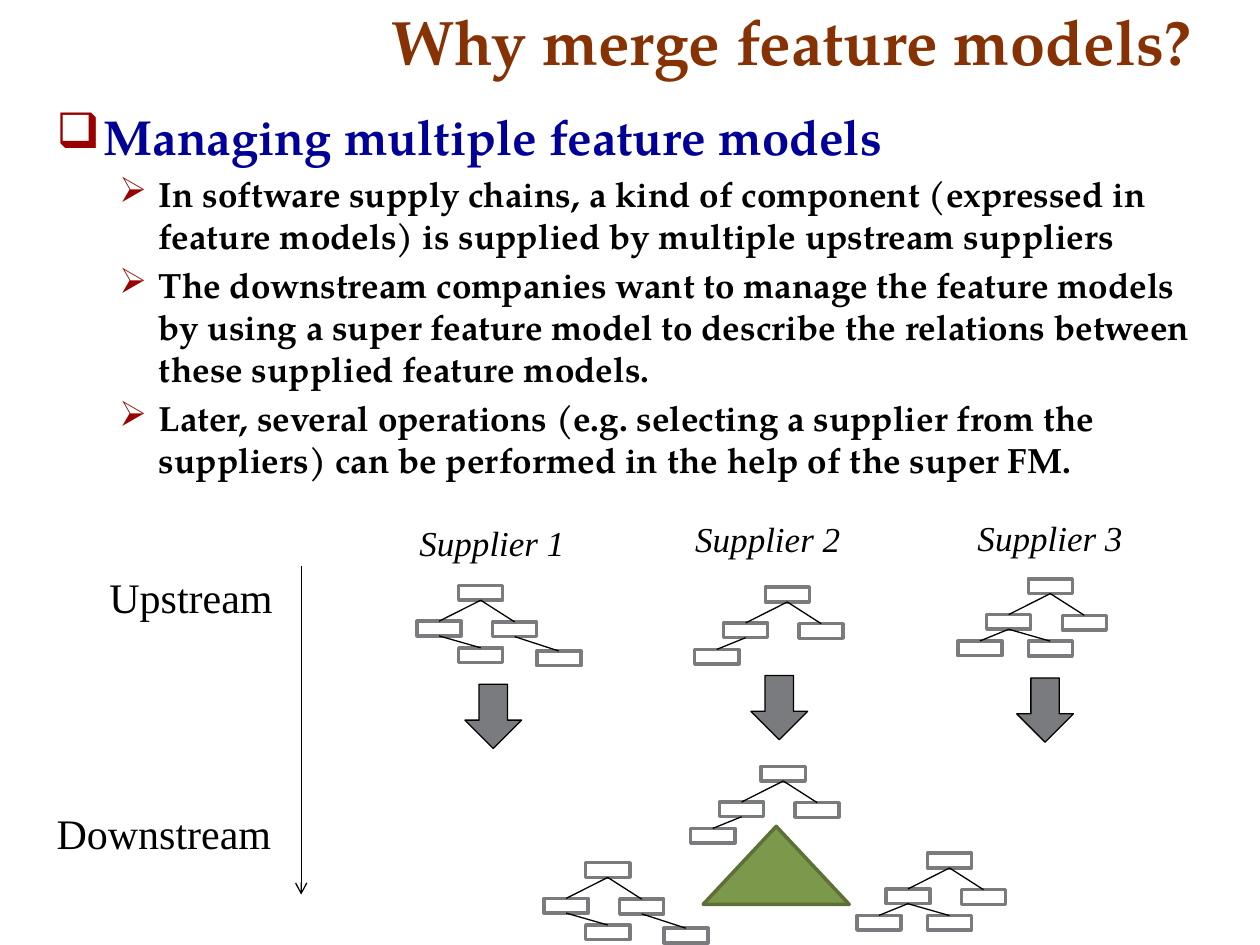
"""Build the slide on why feature models are merged along a supply chain."""
import dataclasses

import pptx
import pptx.dml.color
import pptx.enum.shapes
import pptx.enum.text
import pptx.oxml.ns
import pptx.util
from lxml import etree

Pt = pptx.util.Pt
SHAPE = pptx.enum.shapes.MSO_SHAPE
ANCHOR = pptx.enum.text.MSO_ANCHOR
qn = pptx.oxml.ns.qn


@dataclasses.dataclass(frozen=True)
class Theme:
    serif: str = "TeX Gyre Pagella"
    label: str = "Times New Roman"
    title: str = "863204"
    heading: str = "000099"
    bullet: str = "990000"
    ink: str = "000000"
    paper: str = "FFFFFF"
    grey: str = "797B7E"
    green: str = "7C984A"
    dark_green: str = "5C7037"
    title_size: int = 36
    heading_size: int = 28
    stage_size: int = 24
    text_size: int = 20
    thin: float = 0.75
    thick: float = 2


NODE_SIZE = (25.2, 8.4)
NODE_OFFSETS = {
    "root": (0, 0),
    "left": (-23.8, 20.4),
    "right": (19.4, 20.8),
    "middle leaf": (0, 35.6),
    "left leaf": (-40.3, 35.5),
    "right leaf": (44.6, 37.4),
}
TOP_EDGES = [("root", "left"), ("root", "right")]
FIRST_MODEL = TOP_EDGES + [("right", "right leaf"), ("left", "middle leaf")]
SECOND_MODEL = TOP_EDGES + [("left", "left leaf")]
THIRD_MODEL = TOP_EDGES + [("left", "left leaf"), ("left", "middle leaf")]

SUPPLIERS = [
    ("Supplier 1", (232.6, 294.5), FIRST_MODEL, (262.1, 334.6), (265.7, 391)),
    ("Supplier 2", (390.2, 292.3), SECOND_MODEL, (437.3, 335.6), (429.1, 386)),
    ("Supplier 3", (551.5, 291.6), THIRD_MODEL, (587.6, 330.8), (581, 387.4)),
]
SUPER_MODEL = [
    (FIRST_MODEL, (334.7, 493)),
    (SECOND_MODEL, (435, 437.9)),
    (THIRD_MODEL, (530, 487.6)),
]
POINTS = [
    "In software supply chains, a kind of component (expressed in feature models) "
    "is supplied by multiple upstream suppliers",
    "The downstream companies want to manage the feature models by using a super "
    "feature model to describe the relations between these supplied feature models.",
    "Later, several operations (e.g. selecting a supplier from the suppliers) can be "
    "performed in the help of the super FM.",
]


class SlideBuilder:
    def __init__(self, slide, theme):
        self.slide = slide
        self.theme = theme

    def color(self, value):
        return pptx.dml.color.RGBColor.from_string(value)

    def style(self, paragraph, size, color, font, bold=False, italic=False):
        for run in paragraph.runs:
            run.font.size = Pt(size)
            run.font.name = font
            run.font.bold = bold
            run.font.italic = italic
            run.font.color.rgb = self.color(color)

    def text_frame(self, place, size, wrap=True, anchor=ANCHOR.TOP):
        box = self.slide.shapes.add_textbox(*map(Pt, place + size))
        box.text_frame.word_wrap = wrap
        box.text_frame.vertical_anchor = anchor
        return box.text_frame

    def title(self, text, place, size):
        frame = self.text_frame(place, size, anchor=ANCHOR.BOTTOM)
        frame.text = text
        self.style(frame.paragraphs[0], self.theme.title_size, self.theme.title,
                   self.theme.serif, bold=True)

    def label(self, text, place, size, type_size, italic=False):
        frame = self.text_frame(place, size, wrap=False)
        frame.text = text
        self.style(frame.paragraphs[0], type_size, self.theme.ink,
                   self.theme.label, italic=italic)

    def bullet(self, paragraph, mark, margin, hanging):
        properties = paragraph._p.get_or_add_pPr()
        properties.set("marL", str(Pt(margin)))
        properties.set("indent", str(-Pt(hanging)))
        tint = etree.SubElement(properties, qn("a:buClr"))
        etree.SubElement(tint, qn("a:srgbClr"), val=self.theme.bullet)
        etree.SubElement(properties, qn("a:buChar"), char=mark)

    def outline(self, heading, points, place, size):
        theme = self.theme
        frame = self.text_frame(place, size)
        top = frame.paragraphs[0]
        top.text = heading
        self.bullet(top, "❑", 27, 27)
        self.style(top, theme.heading_size, theme.heading, theme.serif, bold=True)
        for point in points:
            item = frame.add_paragraph()
            item.text = point
            item.level = 1
            self.bullet(item, "➢", 58.5, 22.5)
            item.space_before = Pt(theme.text_size * 0.2)
            self.style(item, theme.text_size, theme.ink, theme.serif, bold=True)

    def shape(self, kind, place, size, fill, line, width):
        shape = self.slide.shapes.add_shape(kind, *map(Pt, place + size))
        shape.shadow.inherit = False
        shape.fill.solid()
        shape.fill.fore_color.rgb = self.color(fill)
        shape.line.color.rgb = self.color(line)
        shape.line.width = Pt(width)
        return shape

    def line(self, start=(0, 0), end=(0, 0), arrow=False):
        connector = self.slide.shapes.add_connector(
            pptx.enum.shapes.MSO_CONNECTOR.STRAIGHT, *map(Pt, start + end))
        connector.line.color.rgb = self.color(self.theme.ink)
        connector.line.width = Pt(self.theme.thin)
        if arrow:
            etree.SubElement(connector.line._get_or_add_ln(), qn("a:tailEnd"), type="arrow")
        etree.SubElement(connector._element.spPr, qn("a:effectLst"))
        return connector

    def feature_model(self, edges, origin):
        nodes = {}
        for name in ["root"] + [child for _, child in edges]:
            dx, dy = NODE_OFFSETS[name]
            nodes[name] = self.shape(SHAPE.RECTANGLE, (origin[0] + dx, origin[1] + dy),
                                     NODE_SIZE, self.theme.paper, self.theme.grey,
                                     self.theme.thick)
        for parent, child in edges:
            link = self.line()
            link.begin_connect(nodes[parent], 2)
            link.end_connect(nodes[child], 0)


def main():
    deck = pptx.Presentation()
    deck.slide_width, deck.slide_height = Pt(720), Pt(540)
    theme = Theme()
    builder = SlideBuilder(deck.slides.add_slide(deck.slide_layouts[6]), theme)

    builder.title("Why merge feature models?", (216.7, -2.2), (492.5, 50.4))
    builder.outline("Managing multiple feature models", POINTS, (25.2, 57.6), (664.6, 410.4))
    builder.label("Upstream", (55.4, 323.3), (108.7, 36), theme.stage_size)
    builder.label("Downstream", (25.2, 457.9), (138.2, 36), theme.stage_size)
    builder.line((172.1, 323.3), (172.1, 511.2), arrow=True)

    for name, label_place, edges, root, arrow_place in SUPPLIERS:
        builder.feature_model(edges, root)
        builder.label(name, label_place, (97.9, 31.7), theme.text_size, italic=True)
        builder.shape(SHAPE.DOWN_ARROW, arrow_place, (32.4, 36.7),
                      theme.grey, theme.ink, theme.thin)
    for edges, root in SUPER_MODEL:
        builder.feature_model(edges, root)
    builder.shape(SHAPE.ISOSCELES_TRIANGLE, (401.8, 472.2), (83.5, 44.6),
                  theme.green, theme.dark_green, theme.thick)
    deck.save("out.pptx")


if __name__ == "__main__":
    main()
